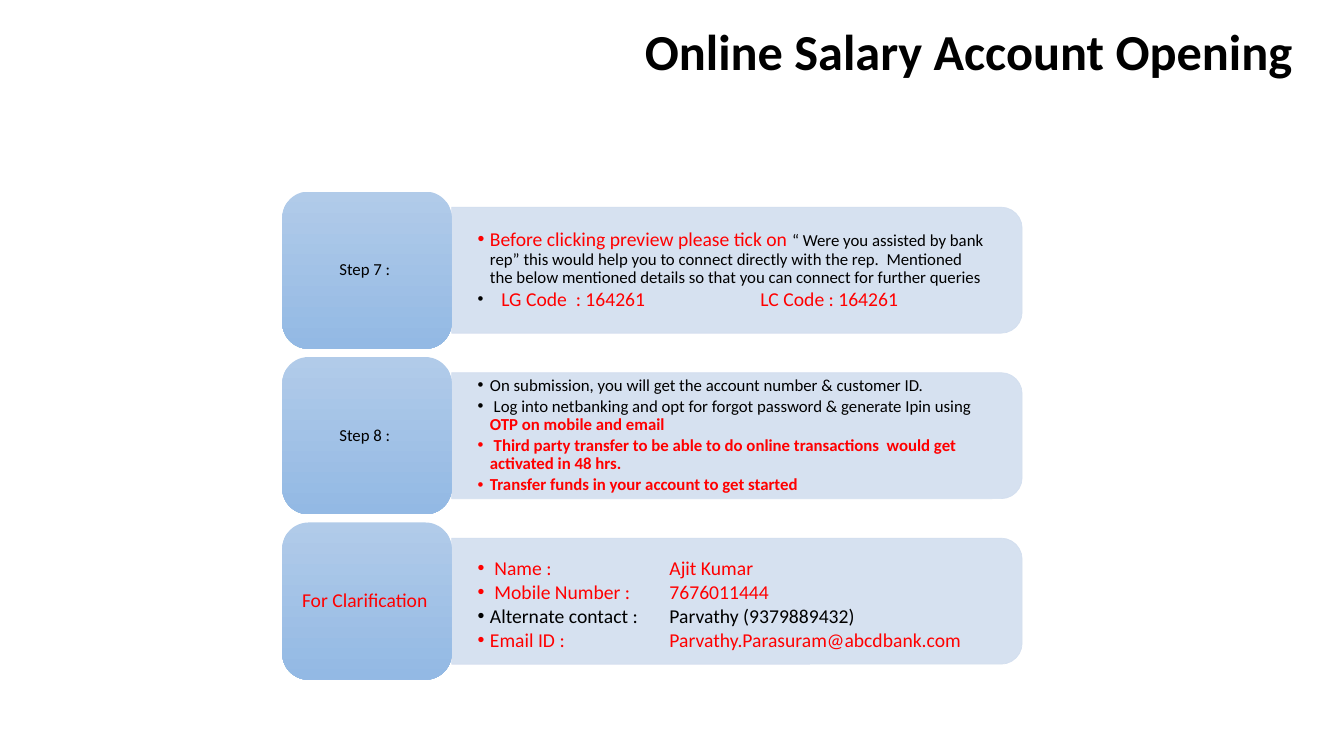
from lxml import etree
from pptx import Presentation
from pptx.dml.color import RGBColor
from pptx.enum.shapes import MSO_SHAPE
from pptx.enum.text import MSO_ANCHOR, MSO_AUTO_SIZE, PP_ALIGN
from pptx.oxml.ns import qn
from pptx.util import Pt

ROUND, BAR = MSO_SHAPE.ROUNDED_RECTANGLE, MSO_SHAPE.ROUND_2_SAME_RECTANGLE
TOP, MIDDLE = MSO_ANCHOR.TOP, MSO_ANCHOR.MIDDLE
CENTER, LEFT, RIGHT = PP_ALIGN.CENTER, PP_ALIGN.LEFT, PP_ALIGN.RIGHT
NO_FIT = MSO_AUTO_SIZE.NONE

FONT = "Calibri"
BLACK = RGBColor(0x00, 0x00, 0x00)
RED = RGBColor(0xFF, 0x00, 0x00)
PALE = RGBColor(0xD2, 0xDE, 0xEF)
LIGHT = RGBColor(0xB1, 0xCB, 0xE9)
DEEP = RGBColor(0x93, 0xB9, 0xE4)

# Card grid, in points
FIRST, STEP = 193, 118.2
TAG_X, TAG_W, TAG_H = 201.6, 121, 112.3
BAR_W, BAR_H = 407.5, 90
LIST_W, LIST_H = 403.2, 81.4
INDENT = 8.8

# Each card: tag, its style, tab stops, top inset, bullets.
# A bullet is a list of runs: text, size, colour, bold.
CARDS = [
    ("Step 7 :", (12, BLACK), (17, 202), 0, [
        [("Before clicking preview please tick on ", 14, RED, False),
         ("“ Were you assisted by bank rep” this would help you to connect "
          "directly with the rep.  Mentioned the below mentioned details so "
          "that you can connect for further queries", 12, BLACK, False)],
        [("\t", 12, BLACK, False),
         ("LG Code  : 164261\tLC Code : 164261", 14, RED, False)],
    ]),
    ("Step 8 :", (12, BLACK), (), 0, [
        [("On submission, you will get the account number & customer ID.",
          12, BLACK, False)],
        [(" Log into netbanking and opt for forgot password & generate Ipin "
          "using ", 12, BLACK, False),
         ("OTP on mobile and email", 12, RED, True)],
        [(" Third party transfer to be able to do online transactions  would "
          "get activated in 48 hrs.", 12, RED, True)],
        [("Transfer funds in your account to get started", 12, RED, True)],
    ]),
    ("For Clarification", (14, RED), (137,), 6, [
        [(" Name :\tAjit Kumar", 14, RED, False)],
        [(" Mobile Number :\t7676011444", 14, RED, False)],
        [("Alternate contact :\tParvathy (9379889432)", 14, BLACK, False)],
        [("Email ID :\tParvathy.Parasuram@abcdbank.com", 14, RED, False)],
    ]),
]


def place(shape, x, y, w, h):
    shape.left, shape.top = Pt(x), Pt(y)
    shape.width, shape.height = Pt(w), Pt(h)


def style(run, size, color, bold=False):
    font = run.font
    font.name, font.size, font.bold = FONT, Pt(size), bold
    font.color.rgb = color


def frame(shape, anchor, left, top, right):
    box = shape.text_frame
    box.word_wrap, box.auto_size = True, NO_FIT
    box.vertical_anchor = anchor
    box.margin_left, box.margin_right = Pt(left), Pt(right)
    box.margin_top, box.margin_bottom = Pt(top), 0
    return box


def bullet(para, stops):
    props = para._p.get_or_add_pPr()
    props.set("marL", str(Pt(INDENT)))
    props.set("indent", str(-Pt(INDENT)))
    etree.SubElement(props, qn("a:buChar"), char="•")
    if stops:
        tabs = etree.SubElement(props, qn("a:tabLst"))
        for stop in stops:
            etree.SubElement(tabs, qn("a:tab"), pos=str(Pt(stop)), algn="l")
    para.alignment = LEFT
    para.line_spacing = 0.9
    para.space_before, para.space_after = Pt(0), Pt(2)


def add_title(slide, text):
    title = slide.shapes.title
    place(title, 425.5, 10.8, 522, 51)
    box = frame(title, TOP, 7.2, 3.6, 24)
    box.text = text
    para = box.paragraphs[0]
    para.alignment, para.line_spacing = RIGHT, 1.0
    style(para.runs[0], 36, BLACK, True)


def add_bar(slide, mid):
    # Drawn upright, then turned so the round corners face right
    x = TAG_X + TAG_W + (BAR_W - BAR_H) / 2
    bar = slide.shapes.add_shape(BAR, 0, 0, 0, 0)
    place(bar, x, mid - BAR_W / 2, BAR_H, BAR_W)
    bar.rotation = 90
    bar.shadow.inherit = False
    bar.fill.solid()
    bar.fill.fore_color.rgb = PALE
    bar.line.color.rgb = PALE
    bar.line.width = Pt(0.5)
    for tint in bar._element.spPr.iter(qn("a:srgbClr")):
        etree.SubElement(tint, qn("a:alpha"), val="90000")


def add_tag(slide, mid, text, look):
    tag = slide.shapes.add_shape(ROUND, 0, 0, 0, 0)
    place(tag, TAG_X, mid - TAG_H / 2, TAG_W, TAG_H)
    tag.shadow.inherit = False
    tag.line.fill.background()
    tag.fill.gradient()
    tag.fill.gradient_angle = 270
    for stop, color in zip(tag.fill.gradient_stops, (LIGHT, DEEP)):
        stop.color.rgb = color
    box = frame(tag, MIDDLE, 4, 0, 7)
    box.text = text
    para = box.paragraphs[0]
    para.alignment, para.line_spacing = CENTER, 0.9
    style(para.runs[0], *look)


def fill_list(body, mid, stops, top, items):
    place(body, TAG_X + TAG_W - 0.8, mid - LIST_H / 2, LIST_W, LIST_H)
    box = frame(body, MIDDLE, 19.4, top, 19.4)
    for i, item in enumerate(items):
        para = box.add_paragraph() if i else box.paragraphs[0]
        bullet(para, stops)
        for text, *look in item:
            run = para.add_run()
            run.text = text
            style(run, *look)


def main():
    deck = Presentation()
    deck.slide_width, deck.slide_height = Pt(960), Pt(540)
    # The comparison layout offers a title and four bodies
    slide = deck.slides.add_slide(deck.slide_layouts[4])
    add_title(slide, "Online Salary Account Opening")

    *bodies, spare = list(slide.placeholders)[1:5]
    spare._element.getparent().remove(spare._element)

    for i, (body, card) in enumerate(zip(bodies, CARDS)):
        tag, look, stops, top, items = card
        mid = FIRST + i * STEP
        add_bar(slide, mid)
        add_tag(slide, mid, tag, look)
        fill_list(body, mid, stops, top, items)
        # Lists lie in front of their bars
        slide.shapes._spTree.append(body._element)

    deck.save("out.pptx")


main()
